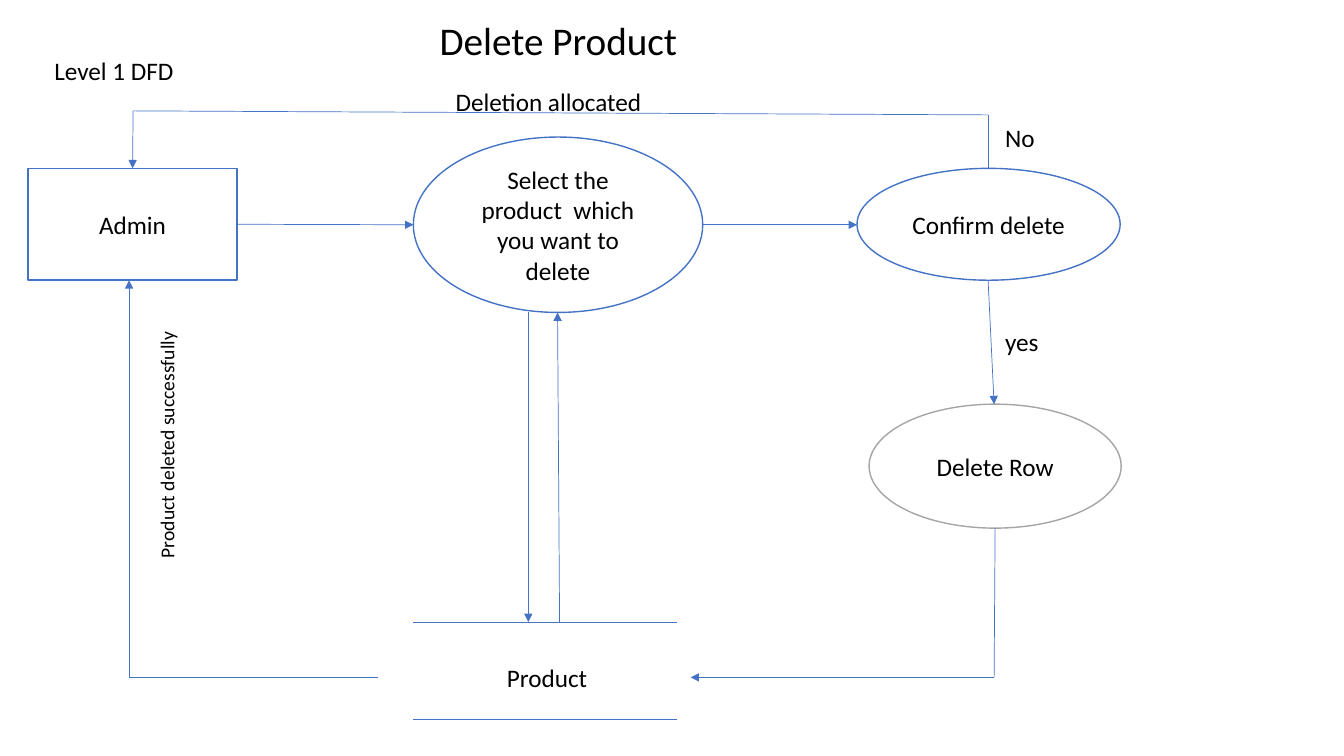
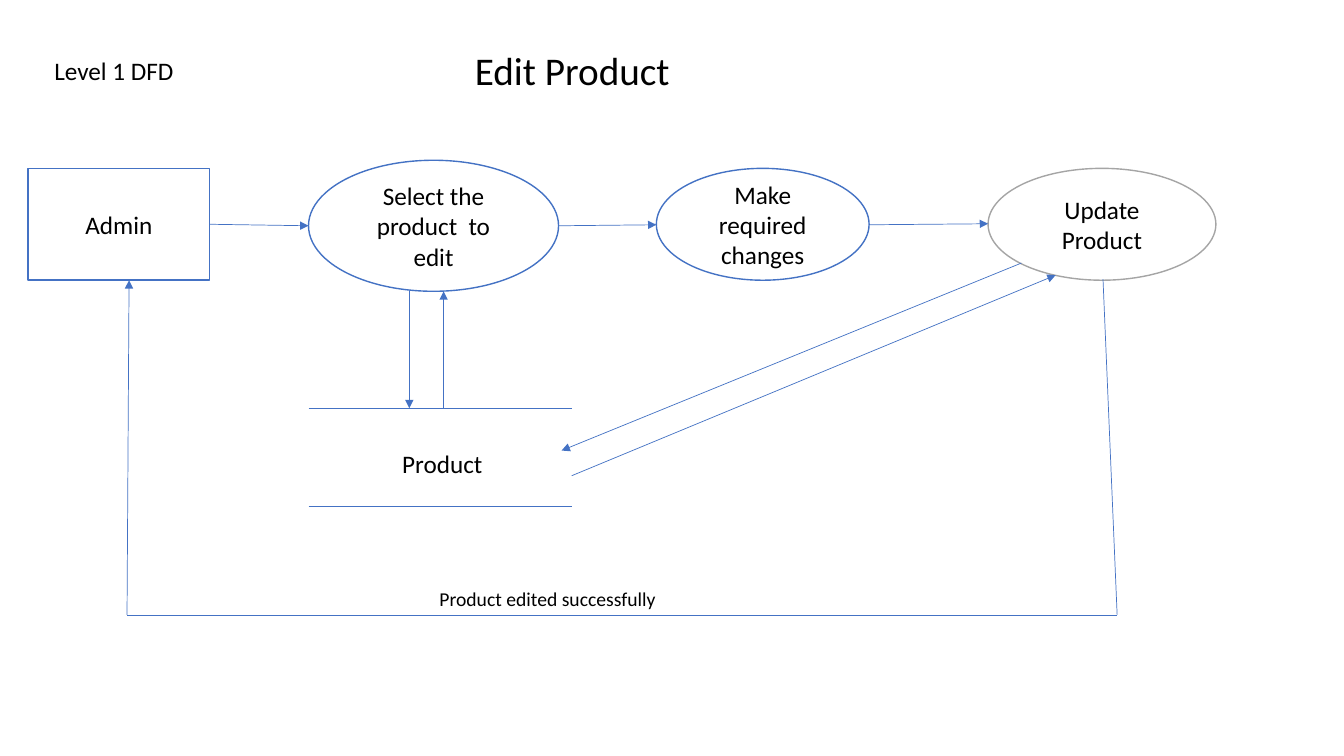
import pptx
import pptx.util
import pptx.dml.color
import pptx.enum.shapes
import pptx.enum.text
import pptx.oxml
import pptx.oxml.ns

Inches = pptx.util.Inches
Pt = pptx.util.Pt
RGBColor = pptx.dml.color.RGBColor
MSO_SHAPE = pptx.enum.shapes.MSO_SHAPE
PP_ALIGN = pptx.enum.text.PP_ALIGN
MSO_ANCHOR = pptx.enum.text.MSO_ANCHOR

# Shared style
BLUE = RGBColor(0x44, 0x72, 0xC4)
GRAY = RGBColor(0xA5, 0xA5, 0xA5)
WHITE = RGBColor(0xFF, 0xFF, 0xFF)
BLACK = RGBColor(0, 0, 0)
FONT = "Calibri"
TITLE_ONLY = 5
STORE_W, STORE_H = 2.61, 0.97
TOP, RIGHT = 0, 3  # connection sites of a rectangle


def set_text(sp, text, size=18, align=PP_ALIGN.LEFT, anchor=MSO_ANCHOR.TOP):
    tf = sp.text_frame
    tf.word_wrap = True
    tf.auto_size = pptx.enum.text.MSO_AUTO_SIZE.NONE
    tf.vertical_anchor = anchor
    p = tf.paragraphs[0]
    p.text = text
    p.alignment = align
    p.font.name = FONT
    p.font.size = Pt(size)
    p.font.color.rgb = BLACK


def add_label(s, text, x, y, w, h=0.4, size=18, rotation=0):
    sp = s.shapes.add_textbox(Inches(x), Inches(y), Inches(w), Inches(h))
    sp.rotation = rotation
    set_text(sp, text, size)


def add_node(s, text, x, y, w, h, shape=MSO_SHAPE.OVAL, color=BLUE):
    sp = s.shapes.add_shape(shape, Inches(x), Inches(y), Inches(w), Inches(h))
    sp.shadow.inherit = False
    sp.fill.solid()
    sp.fill.fore_color.rgb = WHITE
    sp.line.color.rgb = color
    sp.line.width = Pt(1)
    set_text(sp, text, align=PP_ALIGN.CENTER, anchor=MSO_ANCHOR.MIDDLE)
    return sp


def add_line(s, start, end, arrow=False):
    c = s.shapes.add_connector(pptx.enum.shapes.MSO_CONNECTOR.STRAIGHT,
                               *(Inches(v) for v in (*start, *end)))
    c.line.color.rgb = BLUE
    c.line.width = Pt(0.5)
    if arrow:
        ln = c.line._get_or_add_ln()
        tail = pptx.oxml.ns.qn("a:tailEnd")
        ln.append(ln.makeelement(tail, {"type": "triangle"}))
    sp_pr = c._element.spPr
    sp_pr.append(sp_pr.makeelement(pptx.oxml.ns.qn("a:effectLst"), {}))
    return c


def add_route(s, *points):
    """Joined straight lines with an arrowhead at the last point."""
    last = len(points) - 2
    return [add_line(s, points[i], points[i + 1], i == last)
            for i in range(last + 1)]


def add_store(s, text, x, y, text_x):
    """Data store: a name between two horizontal rules."""
    for rule_y in (y, y + STORE_H):
        add_line(s, (x, rule_y), (x + STORE_W, rule_y))
    add_label(s, text, text_x, y + 0.35, 1.19)


def add_dfd_slide(prs, title, x, y, w, admin_w):
    """Slide with title, level label and Admin box; returns slide and box."""
    s = prs.slides.add_slide(prs.slide_layouts[TITLE_ONLY])
    sp = s.shapes.title
    sp.left, sp.top, sp.width, sp.height = (
        Inches(v) for v in (x, y, w, 0.57))
    set_text(sp, title, 28)
    add_label(s, "Level 1 DFD", 0.44, 0.5, 1.5)
    admin = add_node(s, "Admin", 0.28, 1.67, admin_w, 1.11,
                     MSO_SHAPE.RECTANGLE)
    return s, admin


def build_delete(prs):
    s, admin = add_dfd_slide(prs, "Delete Product", 4.26, 0.11, 2.8, 2.07)

    # Processes and data store
    add_node(s, "Select the product  which you want to delete",
             4.1, 1.36, 2.87, 1.74)
    add_node(s, "Confirm delete", 8.5, 1.67, 2.61, 1.11)
    add_node(s, "Delete Row", 8.62, 4.01, 2.5, 1.23, color=GRAY)
    add_store(s, "Product", 4.1, 6.17, 4.93)

    # Main flow
    select = add_line(s, (2.35, 2.23), (4.1, 2.23), True)
    select.begin_connect(admin, RIGHT)
    add_route(s, (6.97, 2.23), (8.5, 2.23))
    add_route(s, (9.8, 2.78), (9.86, 4.01))
    add_route(s, (9.87, 5.24), (9.86, 6.72), (6.85, 6.72))

    # Store access and returns to Admin
    add_route(s, (5.24, 3.1), (5.24, 6.17))
    add_route(s, (5.55, 6.17), (5.53, 3.1))
    add_route(s, (3.75, 6.72), (1.28, 6.72), (1.28, 2.78))
    refusal = add_route(s, (9.8, 1.67), (9.8, 1.14), (1.32, 1.1),
                        (1.32, 1.67))
    refusal[-1].end_connect(admin, TOP)

    # Flow labels
    add_label(s, "yes", 9.87, 3.19, 0.61)
    add_label(s, "No", 9.87, 1.16, 0.63)
    add_label(s, "Deletion allocated", 4.42, 0.81, 2.21)
    add_label(s, "Product deleted successfully", 0.39, 4.2, 2.53, 0.34,
              size=14, rotation=270)


def build_edit(prs):
    s, admin = add_dfd_slide(prs, "Edit Product", 4.61, 0.41, 2.25, 1.8)

    # Processes and data store
    add_node(s, "Select the product  to edit", 3.06, 1.59, 2.48, 1.3)
    add_node(s, "Make required changes", 6.51, 1.67, 2.11, 1.11)
    add_node(s, "Update Product", 9.8, 1.67, 2.26, 1.11, color=GRAY)
    add_store(s, "Product", 3.06, 4.05, 3.89)

    # Main flow
    select = add_line(s, (2.08, 2.23), (3.06, 2.24), True)
    select.begin_connect(admin, RIGHT)
    add_route(s, (5.54, 2.24), (6.51, 2.23))
    add_route(s, (8.62, 2.23), (9.8, 2.22))

    # Store access
    add_route(s, (4.06, 2.89), (4.06, 4.05))
    add_route(s, (4.4, 4.05), (4.4, 2.89))
    add_route(s, (5.67, 4.72), (10.47, 2.73))
    add_route(s, (10.13, 2.61), (5.57, 4.47))

    # Return to Admin
    add_route(s, (10.94, 2.77), (11.08, 6.1), (1.26, 6.1), (1.28, 2.78))
    add_label(s, "Product edited successfully", 4.26, 5.77, 2.63, 0.34,
              size=14)


def main():
    prs = pptx.Presentation()
    prs.slide_width = Inches(13.33)
    prs.slide_height = Inches(7.5)
    build_delete(prs)
    build_edit(prs)
    prs.save("out.pptx")


if __name__ == "__main__":
    main()
